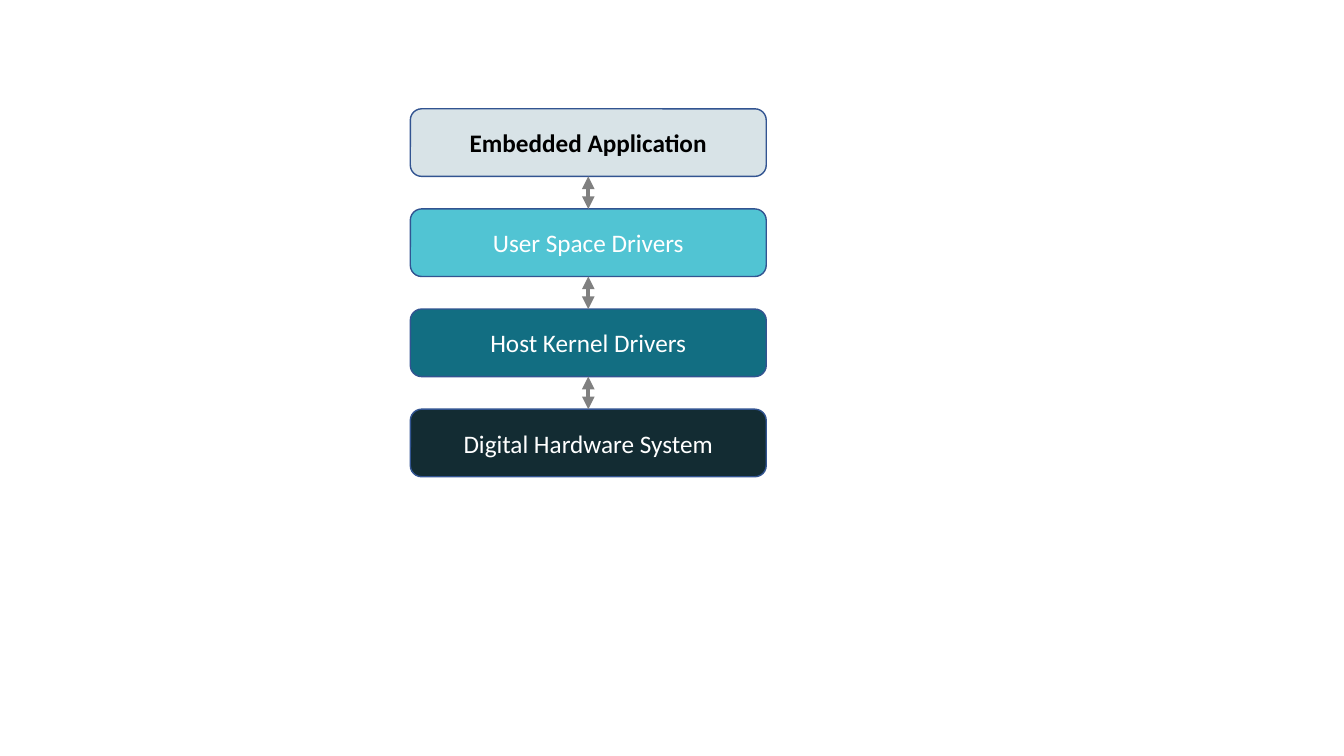
import pptx
import pptx.dml.color
import pptx.enum.shapes
import pptx.enum.text
import pptx.oxml
import pptx.oxml.ns
import pptx.util
from pptx.util import Inches

COLORS = {
    "white": "FFFFFF", "black": "000000", "outline": "325491", "arrow": "808080",
    "mist": "D8E3E7", "aqua": "51C4D3", "teal": "126E82", "ink": "132C33",
}

# label, fill, text colour, bold
LAYERS = [
    ("Embedded Application", "mist", "black", True),
    ("User Space Drivers", "aqua", "white", False),
    ("Host Kernel Drivers", "teal", "white", False),
    ("Digital Hardware System", "ink", "white", False),
]

LEFT, WIDTH, HEIGHT = 4.07, 3.53, 0.67
FIRST_TOP, LAST_TOP = 1.08, 4.06
PITCH = (LAST_TOP - FIRST_TOP) / (len(LAYERS) - 1)


def rgb(name):
    """Return the named colour."""
    return pptx.dml.color.RGBColor.from_string(COLORS[name])


def add_layer(slide, top, label, fill, color, bold):
    """Add one rounded box of the stack."""
    sp = slide.shapes.add_shape(
        pptx.enum.shapes.MSO_SHAPE.ROUNDED_RECTANGLE,
        Inches(LEFT), Inches(top), Inches(WIDTH), Inches(HEIGHT))
    sp.shadow.inherit = False
    sp.fill.solid()
    sp.fill.fore_color.rgb = rgb(fill)
    sp.line.color.rgb = rgb("outline")
    sp.line.width = pptx.util.Pt(1)
    tf = sp.text_frame
    tf.word_wrap = True
    tf.vertical_anchor = pptx.enum.text.MSO_ANCHOR.MIDDLE
    p = tf.paragraphs[0]
    p.text = label
    p.alignment = pptx.enum.text.PP_ALIGN.CENTER
    p.font.name = "Calibri"
    p.font.size = pptx.util.Pt(18)
    p.font.bold = bold
    p.font.color.rgb = rgb(color)
    return sp


def add_link(slide, lower, upper):
    """Join two neighbouring boxes with a double-headed arrow."""
    cxn = slide.shapes.add_connector(
        pptx.enum.shapes.MSO_CONNECTOR.STRAIGHT, 0, 0, 0, 0)
    cxn.begin_connect(lower, 0)
    cxn.end_connect(upper, 2)
    cxn.line.color.rgb = rgb("arrow")
    cxn.line.width = pptx.util.Pt(3)
    ln = cxn.line._get_or_add_ln()
    for tag in ("a:headEnd", "a:tailEnd"):
        end = pptx.oxml.parse_xml(
            f'<{tag} {pptx.oxml.ns.nsdecls("a")} type="triangle"/>')
        ln.append(end)
    ln.addnext(pptx.oxml.parse_xml(
        f'<a:effectLst {pptx.oxml.ns.nsdecls("a")}/>'))


prs = pptx.Presentation()
prs.slide_width, prs.slide_height = Inches(13.33), Inches(7.5)
slide = prs.slides.add_slide(prs.slide_layouts[6])

boxes = [add_layer(slide, FIRST_TOP + i * PITCH, *layer)
         for i, layer in enumerate(LAYERS)]
for upper, lower in zip(boxes, boxes[1:]):
    add_link(slide, lower, upper)

prs.save("out.pptx")
